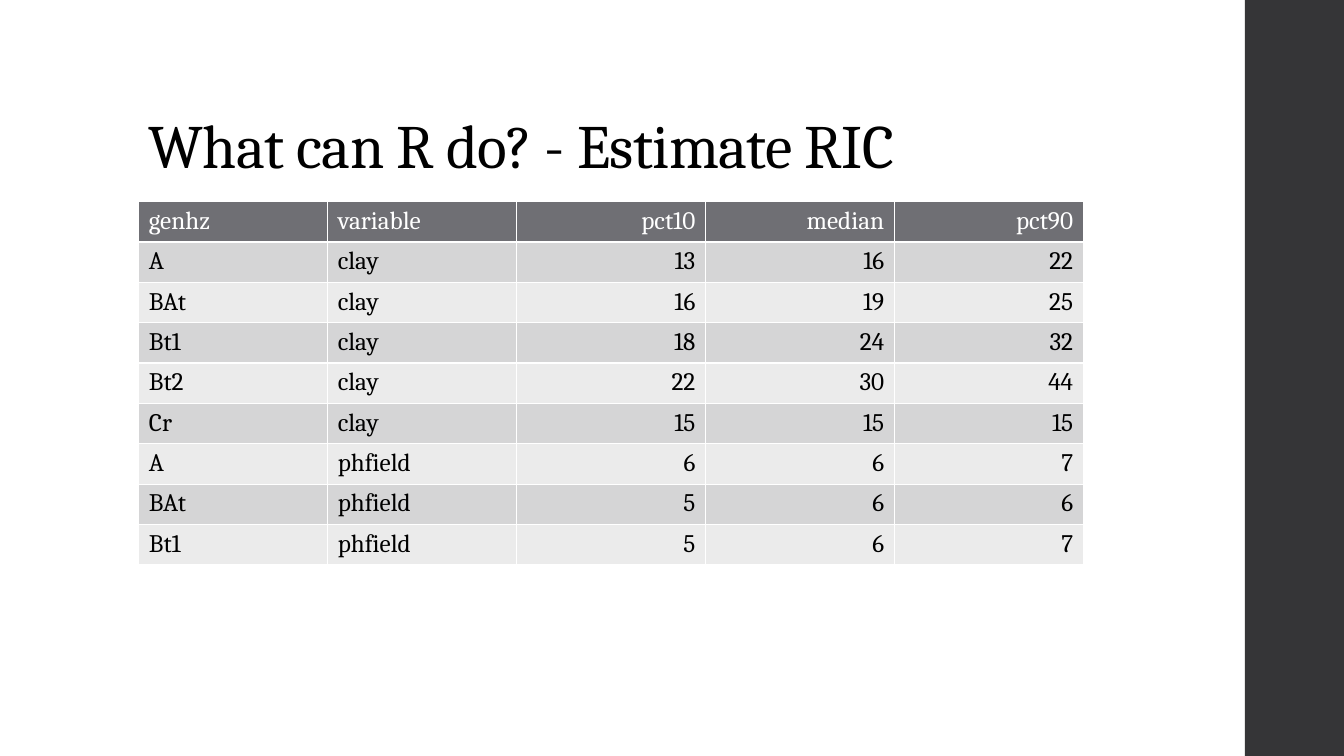
"""Build a slide with a table of soil property ranges by horizon."""
from pptx import Presentation
from pptx import util as u
from pptx.dml import color
from pptx.enum import shapes, text

TITLE = "What can R do? - Estimate RIC"
HEAD = ("genhz", "variable", "pct10", "median", "pct90")
ROWS = [
    ("A", "clay", 13, 16, 22),
    ("BAt", "clay", 16, 19, 25),
    ("Bt1", "clay", 18, 24, 32),
    ("Bt2", "clay", 22, 30, 44),
    ("Cr", "clay", 15, 15, 15),
    ("A", "phfield", 6, 6, 7),
    ("BAt", "phfield", 5, 6, 6),
    ("Bt1", "phfield", 5, 6, 7),
]
BANDS = ("EBEBEB", "D5D5D6")
LEFT, COL, ROW = 3.5, 4.76, 0.98
WIDE, HIGH, BAR = 33.87, 19.05, 2.54


def paint(fill, tone):
    fill.solid()
    fill.fore_color.rgb = color.RGBColor.from_string(tone)


def write(frame, words, tone, size, align):
    para = frame.paragraphs[0]
    para.alignment = align
    run = para.add_run()
    run.text = words
    style = {"name": "Cambria", "size": u.Pt(size), "bold": False}
    for key, value in style.items():
        setattr(run.font, key, value)
    paint(run.font.fill, tone)
    return para, run


def main():
    deck = Presentation()
    deck.slide_width, deck.slide_height = u.Cm(WIDE), u.Cm(HIGH)
    slide = deck.slides.add_slide(deck.slide_layouts[6])
    left, right = text.PP_ALIGN.LEFT, text.PP_ALIGN.RIGHT

    bar = slide.shapes.add_shape(
        shapes.MSO_SHAPE.RECTANGLE,
        u.Cm(WIDE - BAR + 0.04), 0, u.Cm(BAR - 0.04), u.Cm(HIGH))
    bar.shadow.inherit = False
    bar.line.fill.background()
    paint(bar.fill, "353537")

    box = slide.shapes.add_textbox(
        u.Cm(LEFT), u.Cm(1.02), u.Cm(26.92), u.Cm(3.68))
    frame = box.text_frame
    form = {"word_wrap": True, "vertical_anchor": text.MSO_ANCHOR.BOTTOM}
    for key, value in form.items():
        setattr(frame, key, value)
    para, run = write(frame, TITLE, "000000", 44, left)
    para.line_spacing = 0.9
    run.font._element.set("spc", "-50")

    lines = [HEAD, *ROWS]
    table = slide.shapes.add_table(
        len(lines), len(HEAD), u.Cm(LEFT), u.Cm(5.08),
        u.Cm(COL * len(HEAD)), u.Cm(ROW * len(lines))).table
    for i, line in enumerate(lines):
        for j, value in enumerate(line):
            cell = table.cell(i, j)
            paint(cell.fill, BANDS[i % 2] if i else "6F6F74")
            write(cell.text_frame, str(value), "000000" if i else "FFFFFF",
                  18, right if j > 1 else left)

    deck.save("out.pptx")


if __name__ == "__main__":
    main()
